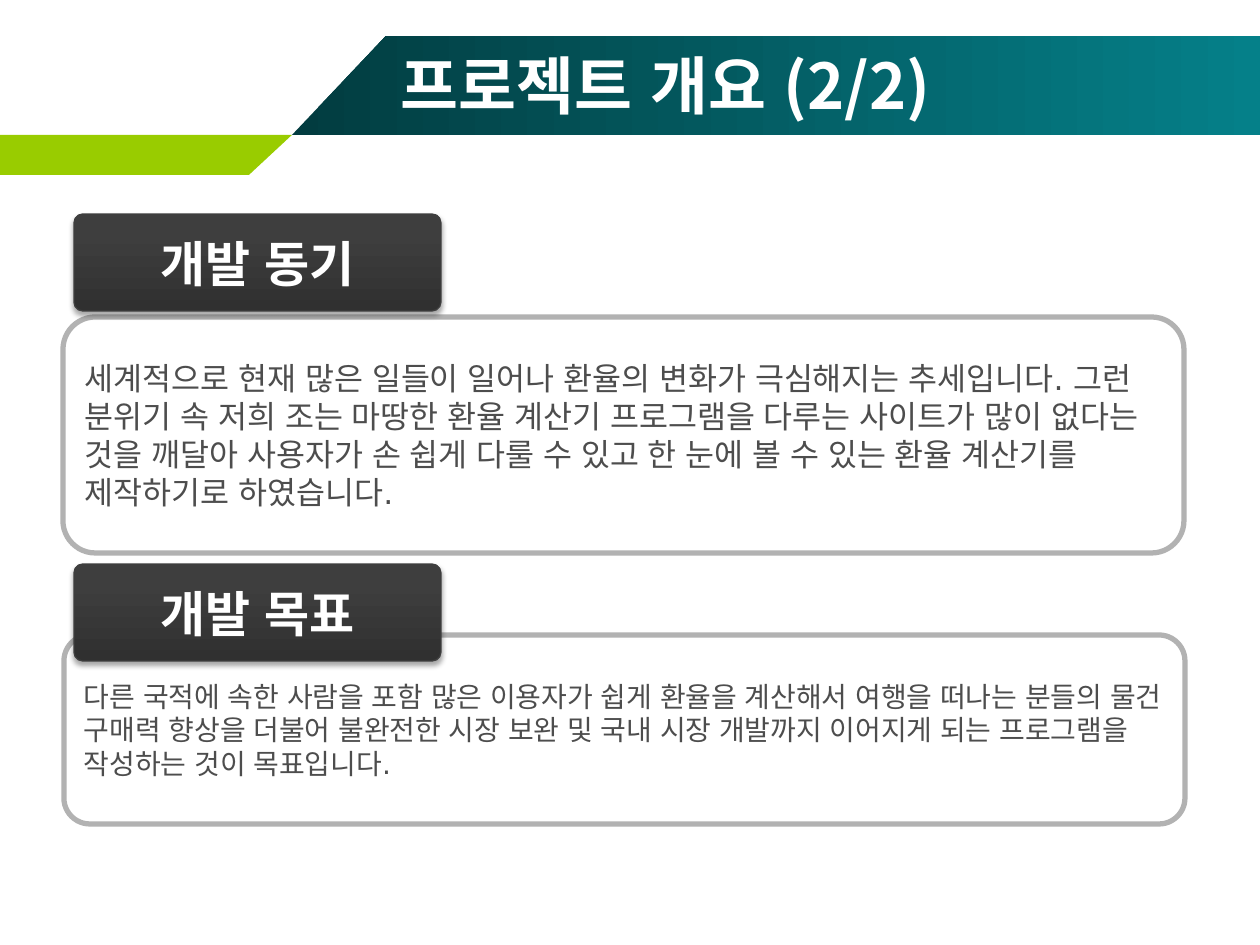
from dataclasses import dataclass

from lxml import etree
from pptx import Presentation
from pptx.dml.color import RGBColor
from pptx.enum.lang import MSO_LANGUAGE_ID
from pptx.enum.shapes import MSO_SHAPE
from pptx.enum.text import MSO_ANCHOR, MSO_AUTO_SIZE, PP_ALIGN
from pptx.oxml.ns import qn
from pptx.util import Pt

ROUNDED = MSO_SHAPE.ROUNDED_RECTANGLE
MIDDLE = MSO_ANCHOR.MIDDLE
NO_AUTOFIT = MSO_AUTO_SIZE.NONE
LEFT, CENTER = PP_ALIGN.LEFT, PP_ALIGN.CENTER
KOREAN = MSO_LANGUAGE_ID.KOREAN
PX = 914400 / 126
TITLE_ONLY = 5


@dataclass(frozen=True)
class Theme:
    white: str = "FFFFFF"
    body: str = "4D4D4D"
    border: str = "B2B2B2"
    accent: str = "99CC00"
    banner: tuple = ((0, "023C40"), (1, "058089"))
    label: tuple = ((0, "303030"), (0.8, "3E3E3E"))
    label_border: str = "3F3F3F"
    latin_font: str = "DejaVu Sans"
    korean_font: str = "Noto Sans CJK KR"
    title_size: int = 36
    label_size: int = 28


THEME = Theme()

SECTIONS = (
    dict(heading="개발 동기", label_top=214, panel=(63, 317, 1121, 236), size=18,
         body="세계적으로 현재 많은 일들이 일어나 환율의 변화가 극심해지는 추세입니다. "
              "그런 분위기 속 저희 조는 마땅한 환율 계산기 프로그램을 다루는 사이트가 "
              "많이 없다는 것을 깨달아 사용자가 손 쉽게 다룰 수 있고 한 눈에 볼 수 있는 "
              "환율 계산기를 제작하기로 하였습니다."),
    dict(heading="개발 목표", label_top=564, panel=(64, 635, 1121, 189), size=16,
         body="다른 국적에 속한 사람을 포함 많은 이용자가 쉽게 환율을 계산해서 여행을 "
              "떠나는 분들의 물건 구매력 향상을 더불어 불완전한 시장 보완 및 국내 시장 "
              "개발까지 이어지게 되는 프로그램을 작성하는 것이 목표입니다."),
)


def px(value):
    return round(value * PX)


def rgb(value):
    return RGBColor.from_string(value)


def write_text(shape, text, *, size, color, font=THEME.korean_font, bold=False,
               align=LEFT, wrap=True, line_spacing=None):
    frame = shape.text_frame
    frame.auto_size = NO_AUTOFIT
    frame.word_wrap = wrap
    frame.vertical_anchor = MIDDLE
    paragraph = frame.paragraphs[0]
    paragraph.alignment = align
    if line_spacing:
        paragraph.line_spacing = Pt(line_spacing)
    run = paragraph.add_run()
    run.text = text
    run.font.size = Pt(size)
    run.font.bold = bold
    run.font.color.rgb = rgb(color)
    run.font.name = font
    run.font.language_id = KOREAN
    east_asian = etree.Element(qn("a:ea"), typeface=THEME.korean_font)
    run.font._element.find(qn("a:latin")).addnext(east_asian)


def fill_gradient(shape, stops, angle):
    shape.fill.gradient()
    shape.fill.gradient_angle = angle
    for stop, (position, color) in zip(shape.fill.gradient_stops, stops):
        stop.position = position
        stop.color.rgb = rgb(color)


def add_polygon(slide, points):
    builder = slide.shapes.build_freeform(*points[0], scale=PX)
    builder.add_line_segments(points[1:], close=True)
    shape = builder.convert_to_shape()
    shape.line.fill.background()
    shape.shadow.inherit = False
    return shape


def add_rounded_box(slide, box, corner, border, border_width):
    shape = slide.shapes.add_shape(ROUNDED, *map(px, box))
    shape.adjustments[0] = corner
    shape.line.color.rgb = rgb(border)
    shape.line.width = Pt(border_width)
    shape.shadow.inherit = False
    return shape


def add_panel(slide, box, text, size):
    panel = add_rounded_box(slide, box, 0.137, THEME.border, 3)
    panel.fill.solid()
    panel.fill.fore_color.rgb = rgb(THEME.white)
    color = panel.element.spPr.find(qn("a:solidFill"))[0]
    etree.SubElement(color, qn("a:alpha"), val="31000")
    write_text(panel, text, size=size, color=THEME.body, font=THEME.latin_font,
               line_spacing=size * 1.2)


def add_drop_shadow(shape):
    effects = shape.element.spPr.find(qn("a:effectLst"))
    shadow = etree.SubElement(effects, qn("a:outerShdw"), blurRad=str(Pt(3.1)),
                              dist=str(Pt(1.8)), dir="5400000", rotWithShape="0")
    color = etree.SubElement(shadow, qn("a:srgbClr"), val="000000")
    etree.SubElement(color, qn("a:alpha"), val="35000")


def add_label(slide, top, text):
    label = add_rounded_box(slide, (74, top, 367, 97), 0.091, THEME.label_border, 0.75)
    fill_gradient(label, THEME.label, 90)
    add_drop_shadow(label)
    write_text(label, text, size=THEME.label_size, color=THEME.white, bold=True,
               align=CENTER, wrap=False)


def add_header(slide):
    banner = add_polygon(slide, [(292, 135), (1260, 135), (1260, 36), (386, 36)])
    fill_gradient(banner, THEME.banner, 0)
    accent = add_polygon(slide, [(0, 135), (292, 135), (249, 175), (0, 175)])
    accent.fill.solid()
    accent.fill.fore_color.rgb = rgb(THEME.accent)


def place_title(slide, text):
    """Format the title placeholder and bring it in front of the banner."""
    title = slide.shapes.title
    title.left, title.top, title.width, title.height = map(px, (388, 45, 840, 78))
    write_text(title, text, size=THEME.title_size, color=THEME.white, bold=True)
    slide.shapes.element.append(title.element)


def main():
    presentation = Presentation()
    presentation.slide_width, presentation.slide_height = px(1260), px(945)
    slide = presentation.slides.add_slide(presentation.slide_layouts[TITLE_ONLY])
    add_header(slide)
    place_title(slide, "프로젝트 개요 (2/2)")
    for section in SECTIONS:
        add_panel(slide, section["panel"], section["body"], section["size"])
        add_label(slide, section["label_top"], section["heading"])
    presentation.save("out.pptx")


if __name__ == "__main__":
    main()
